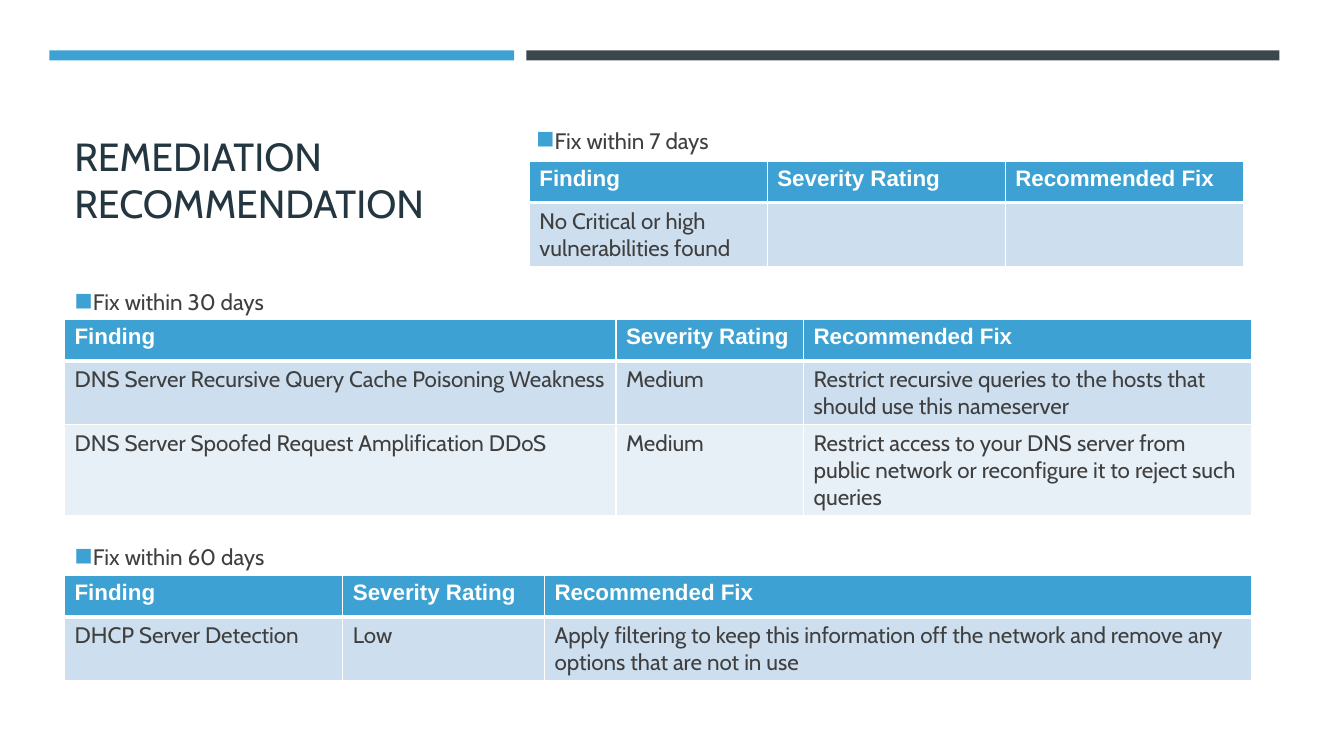
from lxml.etree import SubElement
from pptx import Presentation
from pptx.dml.color import RGBColor
from pptx.enum.shapes import MSO_SHAPE
from pptx.enum.text import MSO_ANCHOR
from pptx.oxml.ns import qn
from pptx.util import Inches, Pt

COLORS = {
    "blue": "3DA2D3",
    "slate": "3C474C",
    "title": "243741",
    "text": "3F3F3F",
    "white": "FFFFFF",
    "band": "CDDFEF",
    "pale": "E8F0F7",
}
HEADS = ("Finding", "Severity Rating", "Recommended Fix")


def style(para, size, color, name="Cabin", bold=False):
    font = para.font
    font.size, font.name, font.bold = Pt(size), name, bold
    font.color.rgb = RGBColor.from_string(COLORS[color])


def label(box, text, size, color):
    left, top, width, height = map(Inches, box)
    frame = slide.shapes.add_textbox(left, top, width, height).text_frame
    frame.word_wrap = True
    frame.vertical_anchor = MSO_ANCHOR.MIDDLE
    para = frame.paragraphs[0]
    para.text = text
    style(para, size, color)
    return para


prs = Presentation()
prs.slide_width, prs.slide_height = Inches(13.33), Inches(7.5)
slide = prs.slides.add_slide(prs.slide_layouts[6])

label((0.64, 0.77, 4.46, 2.02), "REMEDIATION RECOMMENDATION", 28, "title")

for left, width, color in ((0.49, 4.61, "blue"), (5.22, 7.47, "slate")):
    bar = slide.shapes.add_shape(
        MSO_SHAPE.RECTANGLE, Inches(left), Inches(0.5), Inches(width), Inches(0.1)
    )
    bar.shadow.inherit = False
    bar.fill.solid()
    bar.fill.fore_color.rgb = RGBColor.from_string(COLORS[color])
    bar.line.fill.background()

plans = [
    (7, (5.22, 1.21, 7.09), (5.25, 1.6), (2.36, 2.36, 2.36), [
        ("No Critical or high vulnerabilities found", "", ""),
    ]),
    (30, (0.64, 2.81, 11.68), (0.64, 3.17), (5.47, 1.86, 4.44), [
        ("DNS Server Recursive Query Cache Poisoning Weakness", "Medium",
         "Restrict recursive queries to the hosts that should use this nameserver"),
        ("DNS Server Spoofed Request Amplification DDoS", "Medium",
         "Restrict access to your DNS server from public network "
         "or reconfigure it to reject such queries"),
    ]),
    (60, (0.64, 5.34, 11.68), (0.64, 5.71), (2.76, 2, 7.01), [
        ("DHCP Server Detection", "Low",
         "Apply filtering to keep this information off the network "
         "and remove any options that are not in use"),
    ]),
]

for days, box, (left, top), widths, fixes in plans:
    para = label((*box, 0.37), f"Fix within {days} days", 16, "text")
    props = para._p.get_or_add_pPr()
    props.set("marL", "0")
    props.set("indent", str(Inches(-0.1)))
    tint = SubElement(props, qn("a:buClr"))
    SubElement(tint, qn("a:srgbClr"), val=COLORS["blue"])
    mark = SubElement(props, qn("a:buChar"), char="◼")
    props.insert(0, mark)
    props.insert(0, tint)

    rows = [HEADS, *fixes]
    table = slide.shapes.add_table(
        len(rows), len(widths), Inches(left), Inches(top),
        Inches(sum(widths)), Inches(0.41 * len(rows)),
    ).table
    for col, width in zip(table.columns, widths):
        col.width = Inches(width)
    for r, row in enumerate(rows):
        table.rows[r].height = Inches(0.41)
        fill = "blue" if r == 0 else ("pale", "band")[r % 2]
        for c, text in enumerate(row):
            cell = table.cell(r, c)
            para = cell.text_frame.paragraphs[0]
            if text:
                para.text = text
            if r == 0:
                style(para, 16, "white", "Arial", True)
            else:
                style(para, 16, "text")
            props = cell._tc.get_or_add_tcPr()
            for side in "LRTB":
                thick = (r, side) in ((0, "B"), (1, "T"))
                edge = SubElement(props, qn(f"a:ln{side}"), w=str(Pt(3 if thick else 1)))
                paint = SubElement(edge, qn("a:solidFill"))
                SubElement(paint, qn("a:srgbClr"), val=COLORS["white"])
            cell.fill.solid()
            cell.fill.fore_color.rgb = RGBColor.from_string(COLORS[fill])

prs.save("out.pptx")
